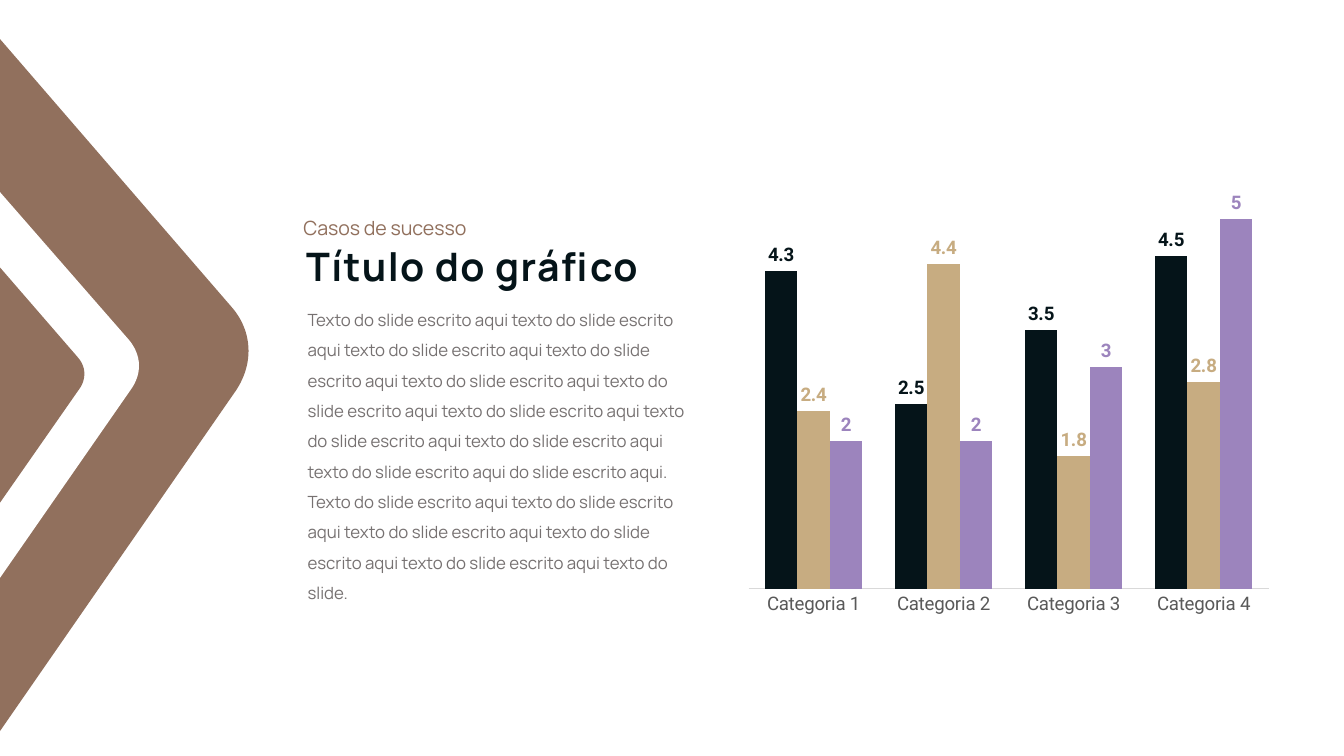
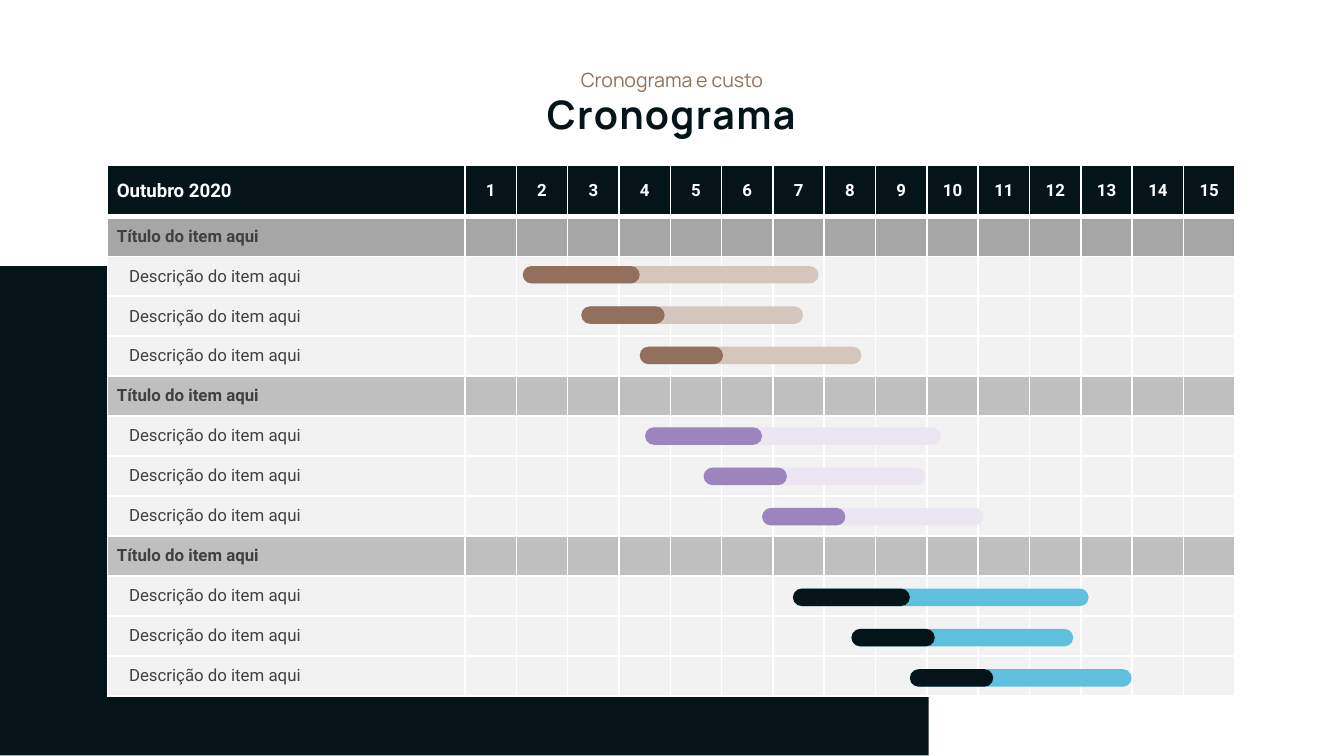
from dataclasses import dataclass

from lxml import etree
from pptx import Presentation
from pptx.chart.data import CategoryChartData
from pptx.dml.color import RGBColor
from pptx.enum.chart import XL_CHART_TYPE, XL_LABEL_POSITION, XL_TICK_MARK
from pptx.enum.shapes import MSO_SHAPE
from pptx.enum.text import MSO_ANCHOR, MSO_AUTO_SIZE, PP_ALIGN
from pptx.oxml.ns import qn
from pptx.util import Inches, Pt

LEFT, CENTER = PP_ALIGN.LEFT, PP_ALIGN.CENTER
MIDDLE = MSO_ANCHOR.MIDDLE
PILL, PANEL = MSO_SHAPE.ROUNDED_RECTANGLE, MSO_SHAPE.ROUND_1_RECTANGLE
COLUMNS = XL_CHART_TYPE.COLUMN_CLUSTERED
NO_TICK = XL_TICK_MARK.NONE
ABOVE = XL_LABEL_POSITION.OUTSIDE_END
GROW = MSO_AUTO_SIZE.SHAPE_TO_FIT_TEXT


@dataclass(frozen=True)
class Theme:
    head: str = "Manrope"
    body: str = "Roboto"
    ink: str = "051419"
    brown: str = "91705D"
    blush: str = "D4C5BD"
    gold: str = "C7AC81"
    plum: str = "9C84BD"
    lilac: str = "EBE6F2"
    sky: str = "5FBFDF"
    white: str = "FFFFFF"
    note: str = "767171"
    label: str = "595959"
    rule: str = "D9D9D9"
    text: str = "404040"
    dark: str = "A6A6A6"
    mid: str = "BFBFBF"
    pale: str = "F2F2F2"
    title: float = 21
    kicker: float = 10.5
    base: float = 10
    small: float = 9


THEME = Theme()


def rgb(color):
    return RGBColor.from_string(color)


def set_font(font, size, color, bold=False, face=THEME.body):
    font.name, font.size, font.bold = face, Pt(size), bold
    font.color.rgb = rgb(color)


def write(frame, text, size=THEME.small, color=THEME.text, bold=False,
          face=THEME.body, align=LEFT, space=None, track=None, indent=0):
    """Put one formatted paragraph into a text frame."""
    par = frame.paragraphs[0]
    par.alignment = align
    if space:
        par.line_spacing = space
    if indent:
        par._p.get_or_add_pPr().set("marL", str(Inches(indent)))
    run = par.add_run()
    run.text = text
    set_font(run.font, size, color, bold, face)
    if track:
        run._r.get_or_add_rPr().set("spc", str(round(track * 100)))


def edge(cell, side, width):
    """Draw one white border of a cell; side is L, R, T or B."""
    line = etree.SubElement(cell._tc.get_or_add_tcPr(), qn(f"a:ln{side}"),
                            w=str(Pt(width)))
    fill = etree.SubElement(line, qn("a:solidFill"))
    etree.SubElement(fill, qn("a:srgbClr"), val=THEME.white)


def bezier(start, first, second, end, steps=24):
    """Points along a cubic curve, both ends included."""
    def at(t):
        u = 1 - t
        mix = (u ** 3, 3 * u * u * t, 3 * u * t * t, t ** 3)
        return tuple(sum(m * p[i] for m, p in
                         zip(mix, (start, first, second, end)))
                     for i in (0, 1))
    return [at(n / steps) for n in range(steps + 1)]


class Deck:
    def __init__(self, theme):
        self.theme = theme
        self.prs = Presentation()
        self.prs.slide_width = Inches(10)
        self.prs.slide_height = Inches(10 * 9 / 16)
        self.slide = None

    def page(self):
        self.slide = self.prs.slides.add_slide(self.prs.slide_layouts[6])

    def paint(self, shape, color):
        shape.shadow.inherit = False
        shape.fill.solid()
        shape.fill.fore_color.rgb = rgb(color)
        shape.line.fill.background()

    def shape(self, kind, box, color):
        item = self.slide.shapes.add_shape(kind, *map(Inches, box))
        self.paint(item, color)
        return item

    def outline(self, points, color):
        start, *rest = [(Inches(x), Inches(y)) for x, y in points]
        pen = self.slide.shapes.build_freeform(*start)
        pen.add_line_segments(rest)
        self.paint(pen.convert_to_shape(), color)

    def text(self, box, words, **style):
        item = self.slide.shapes.add_textbox(*map(Inches, box))
        frame = item.text_frame
        frame.word_wrap = True
        frame.auto_size = GROW
        write(frame, words, **style)

    def heading(self, title, kicker, spot, tag, align=LEFT):
        """Title at spot with its kicker line at tag."""
        t = self.theme
        self.text((*spot, 3.15, 0.45), title, size=t.title, color=t.ink,
                  bold=True, face=t.head, align=align, track=0.75)
        self.text((*tag, 2.1, 0.34), kicker, size=t.kicker, color=t.brown,
                  face=t.head, align=align, space=1.5)

    def chart(self, box, names, series, top):
        t = self.theme
        data = CategoryChartData()
        data.categories = names
        for name, _, values in series:
            data.add_series(name, values)
        chart = self.slide.shapes.add_chart(
            COLUMNS, *map(Inches, box), data).chart
        chart.has_legend = chart.has_title = False
        set_font(chart.font, t.base, t.label)
        high = chart.value_axis
        high.visible = high.has_major_gridlines = False
        high.minimum_scale, high.maximum_scale = 0, top
        low = chart.category_axis
        low.major_tick_mark = low.minor_tick_mark = NO_TICK
        low.format.line.color.rgb = rgb(t.rule)
        low.format.line.width = Pt(0.75)
        set_font(low.tick_labels.font, t.base, t.label)
        plot = chart.plots[0]
        plot.gap_width, plot.overlap, plot.vary_by_categories = 100, 0, False
        for bars, (_, color, _) in zip(plot.series, series):
            bars.format.fill.solid()
            bars.format.fill.fore_color.rgb = rgb(color)
            labels = bars.data_labels
            labels.show_value, labels.position = True, ABOVE
            set_font(labels.font, t.base, color, True)

    def cell(self, cell, fill, words="", top=1, base=1, **style):
        cell.vertical_anchor = MIDDLE
        cell.margin_left = cell.margin_right = Inches(0.07)
        cell.margin_top = cell.margin_bottom = Inches(0.04)
        for side, width in (("L", 1), ("R", 1), ("T", top), ("B", base)):
            edge(cell, side, width)
        cell.fill.solid()
        cell.fill.fore_color.rgb = rgb(fill)
        if words:
            write(cell.text_frame, words, **style)
        else:
            etree.SubElement(cell.text_frame.paragraphs[0]._p,
                             qn("a:endParaRPr"),
                             sz=str(round(self.theme.small * 100)))

    def grid(self, box, month, days, rows):
        """Schedule table: a header of days, then (text, fill, is_title)."""
        t = self.theme
        wide, head = 2.66, 0.38
        table = self.slide.shapes.add_table(
            len(rows) + 1, days + 1, *map(Inches, box)).table
        table.first_row = table.horz_banding = False
        for i, col in enumerate(table.columns):
            col.width = Inches((box[2] - wide) / days if i else wide)
        for i, row in enumerate(table.rows):
            row.height = Inches((box[3] - head) / len(rows) if i else head)
        self.cell(table.cell(0, 0), t.ink, month, base=3, size=t.base,
                  color=t.white, bold=True)
        for day in range(1, days + 1):
            self.cell(table.cell(0, day), t.ink, str(day), base=3,
                      color=t.white, bold=True, align=CENTER)
        for r, (words, fill, bold) in enumerate(rows, 1):
            top = 3 if r == 1 else 1
            self.cell(table.cell(r, 0), fill, words, top=top, bold=bold,
                      indent=0 if bold else 0.09)
            for c in range(1, days + 1):
                self.cell(table.cell(r, c), fill, top=top)

    def bar(self, left, top, full, done, back, front):
        """Progress bar: the whole span with the finished part on it."""
        for width, color in ((full, back), (done, front)):
            pill = self.shape(PILL, (left, top, width, 0.13), color)
            pill.adjustments[0] = 0.5


def cases(deck):
    t = deck.theme
    deck.page()
    deck.chart((5.49, 1.01, 4.03, 3.64),
               [f"Categoria {n}" for n in range(1, 5)],
               (("Series 1", t.ink, (4.3, 2.5, 3.5, 4.5)),
                ("Series 2", t.gold, (2.4, 4.4, 1.8, 2.8)),
                ("Series 3", t.plum, (2, 2, 3, 5))), top=6)
    deck.heading("Título do gráfico", "Casos de sucesso",
                 (2.18, 1.75), (2.16, 1.47))
    words = "texto do slide escrito aqui "
    body = ("T" + (words * 10)[1:] + "do slide escrito aqui. T"
            + (words * 5)[1:] + "texto do slide.")
    deck.text((2.19, 2.18, 3, 2.35), body, color=t.note, face=t.head,
              space=1.5)
    arrows = (
        (t.brown, 0.29, 5.44,
         ((1.76, 2.9), (1.89, 2.7), (1.88, 2.46), (1.72, 2.28))),
        (t.white, 1.43, 4.3,
         ((0.98, 2.89), (1.06, 2.77), (1.05, 2.64), (0.96, 2.53))),
        (t.brown, 1.99, 3.74,
         ((0.6, 2.88), (0.64, 2.81), (0.64, 2.73), (0.58, 2.66))),
    )
    for color, top, base, tip in arrows:
        deck.outline([(0, top), (0, base), *bezier(*tip)], color)


def plan(deck):
    t = deck.theme
    deck.page()
    deck.shape(PANEL, (0, 1.98, 6.91, 3.64), t.ink)
    rows = []
    for fill in (t.dark, t.mid, t.mid):
        rows.append(("Título do item aqui", fill, True))
        rows += [("Descrição do item aqui", t.pale, False)] * 3
    deck.grid((0.8, 1.23, 8.39, 3.95), "Outubro 2020", 15, rows)
    groups = ((3.89, t.blush, t.brown), (4.8, t.lilac, t.plum),
              (5.9, t.sky, t.ink))
    spans = ((2.2, 0.87), (1.65, 0.62), (1.65, 0.62))
    shift, pitch = spans[0][1] / 2, 0.3
    for g, (left, back, front) in enumerate(groups):
        for i, (full, done) in enumerate(spans):
            deck.bar(left + i * shift, 1.98 + (4 * g + i) * pitch,
                     full, done, back, front)
    deck.heading("Cronograma", "Cronograma e custo",
                 (3.42, 0.62), (3.95, 0.37), align=CENTER)


def main():
    deck = Deck(THEME)
    cases(deck)
    plan(deck)
    deck.prs.save("out.pptx")


if __name__ == "__main__":
    main()
